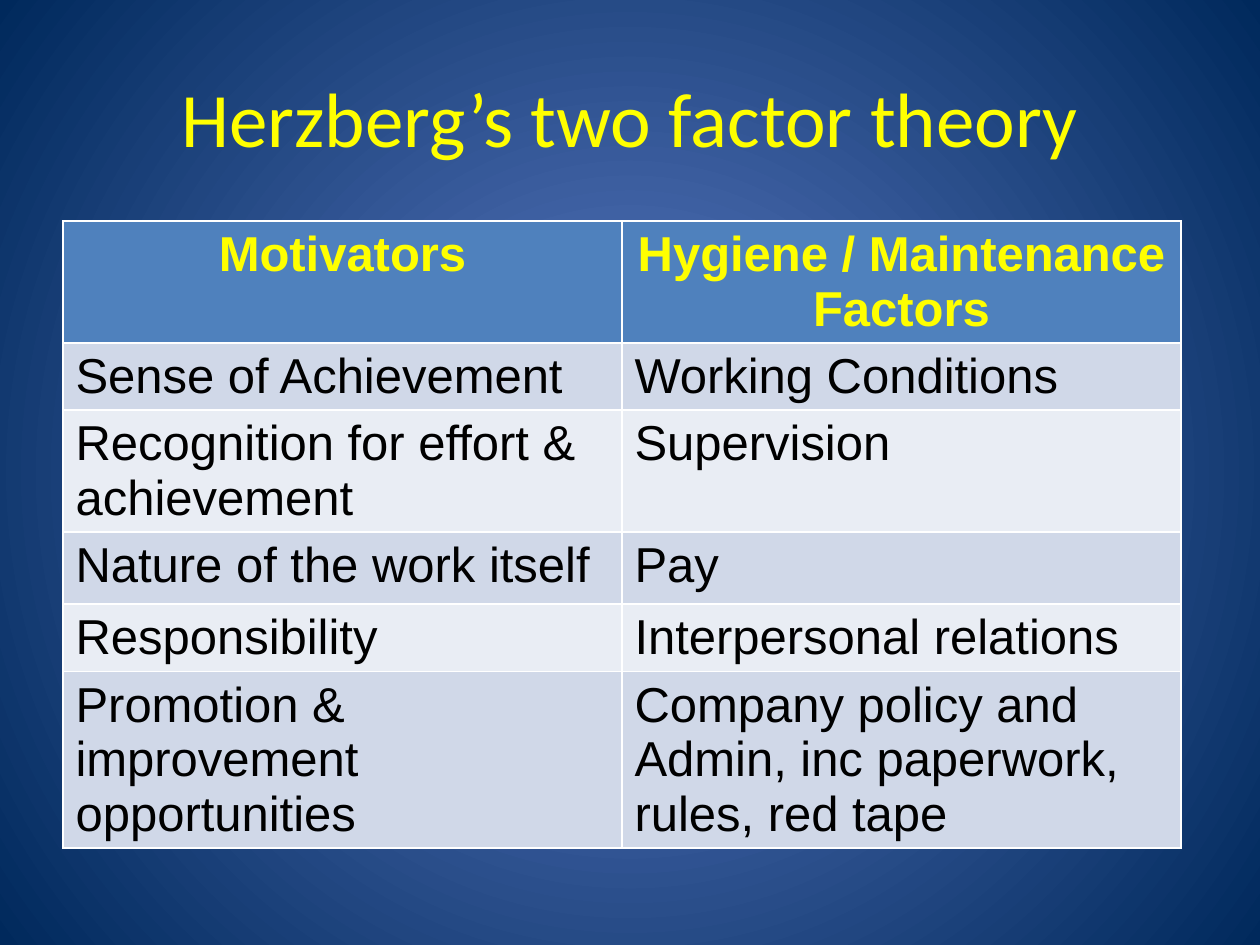
import pptx
import pptx.dml.color
import pptx.enum.text
import pptx.oxml
import pptx.oxml.ns
import pptx.util

PX = 914400 // 126
TITLE = "Herzberg’s two factor theory"
ROWS = [
    ("Motivators", "Hygiene / Maintenance Factors"),
    ("Sense of Achievement", "Working Conditions"),
    ("Recognition for effort & achievement", "Supervision"),
    ("Nature of the work itself", "Pay"),
    ("Responsibility", "Interpersonal relations"),
    ("Promotion & improvement opportunities",
     "Company policy and Admin, inc paperwork, rules, red tape"),
]
ROW_HEIGHTS = [122, 67, 122, 72, 67, 176]
COL_WIDTH = 559
TITLE_BOX = (63, 38, 1134, 157)
TABLE_BOX = (63, 221, 2 * COL_WIDTH, sum(ROW_HEIGHTS))
HEADER_FILL, BANDS = "4F81BD", ("E9EDF4", "D0D8E8")
TITLE_FONT = {"name": "Calibri", "size": pptx.util.Pt(44), "bold": False}
HEADER_FONT = {"name": "Arial", "size": pptx.util.Pt(28), "bold": True}
BODY_FONT = {**HEADER_FONT, "bold": False}
CENTER = pptx.enum.text.PP_ALIGN.CENTER
LEFT = pptx.enum.text.PP_ALIGN.LEFT
NS = pptx.oxml.ns.nsdecls("a", "p")
BACKGROUND = f"""<p:bg {NS}><p:bgPr><a:gradFill rotWithShape="1"><a:gsLst>
<a:gs pos="0"><a:srgbClr val="5E7CC5"/></a:gs>
<a:gs pos="100000"><a:srgbClr val="00295C"/></a:gs></a:gsLst>
<a:path path="circle"><a:fillToRect l="50000" t="50000" r="50000" b="50000"/></a:path>
</a:gradFill><a:effectLst/></p:bgPr></p:bg>"""


def rgb(value):
    return pptx.dml.color.RGBColor.from_string(value)


def write(tf, text, font, color, align):
    p = tf.paragraphs[0]
    p.alignment = align
    r = p.add_run()
    r.text = text
    for key, value in font.items():
        setattr(r.font, key, value)
    r.font.color.rgb = rgb(color)


def add_borders(cell):
    tc_pr = cell._tc.get_or_add_tcPr()
    for i, side in enumerate(("lnL", "lnR", "lnT", "lnB")):
        tc_pr.insert(i, pptx.oxml.parse_xml(
            f'<a:{side} {NS} w="12700"><a:solidFill><a:srgbClr val="FFFFFF"/>'
            f'</a:solidFill></a:{side}>'))


def main():
    prs = pptx.Presentation()
    prs.slide_width, prs.slide_height = pptx.util.Inches(10), pptx.util.Inches(7.5)
    s = prs.slides.add_slide(prs.slide_layouts[5])
    s._element.cSld.insert(0, pptx.oxml.parse_xml(BACKGROUND))

    title = s.shapes.title
    for key, value in zip(("left", "top", "width", "height"), TITLE_BOX):
        setattr(title, key, value * PX)
    title.text_frame.vertical_anchor = pptx.enum.text.MSO_ANCHOR.MIDDLE
    write(title.text_frame, TITLE, TITLE_FONT, "FFFF00", CENTER)

    box = [v * PX for v in TABLE_BOX]
    table = s.shapes.add_table(len(ROWS), len(ROWS[0]), *box).table
    for col in table.columns:
        col.width = COL_WIDTH * PX
    for i, (texts, height) in enumerate(zip(ROWS, ROW_HEIGHTS)):
        table.rows[i].height = height * PX
        for j, text in enumerate(texts):
            cell = table.cell(i, j)
            cell.fill.solid()
            cell.fill.fore_color.rgb = rgb(BANDS[i % 2] if i else HEADER_FILL)
            add_borders(cell)
            if i:
                write(cell.text_frame, text, BODY_FONT, "000000", LEFT)
            else:
                write(cell.text_frame, text, HEADER_FONT, "FFFF00", CENTER)

    prs.save("out.pptx")


if __name__ == "__main__":
    main()
